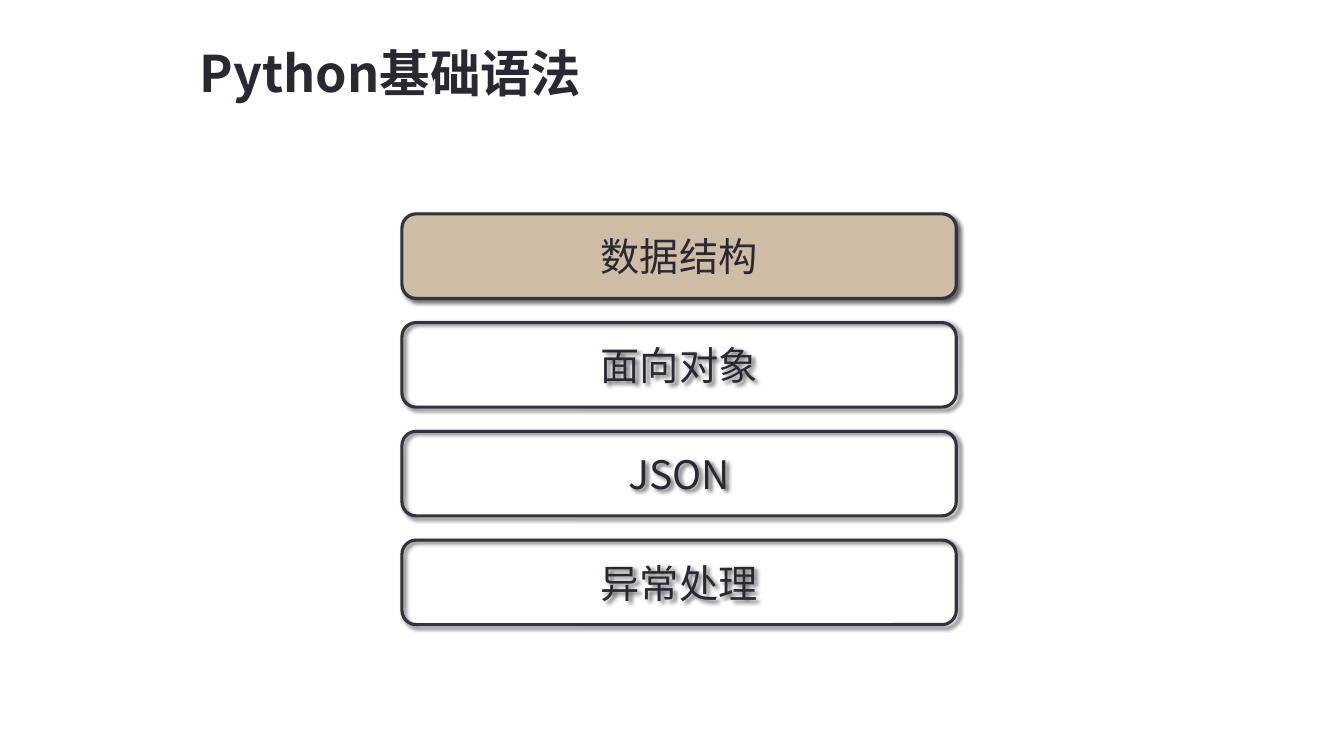
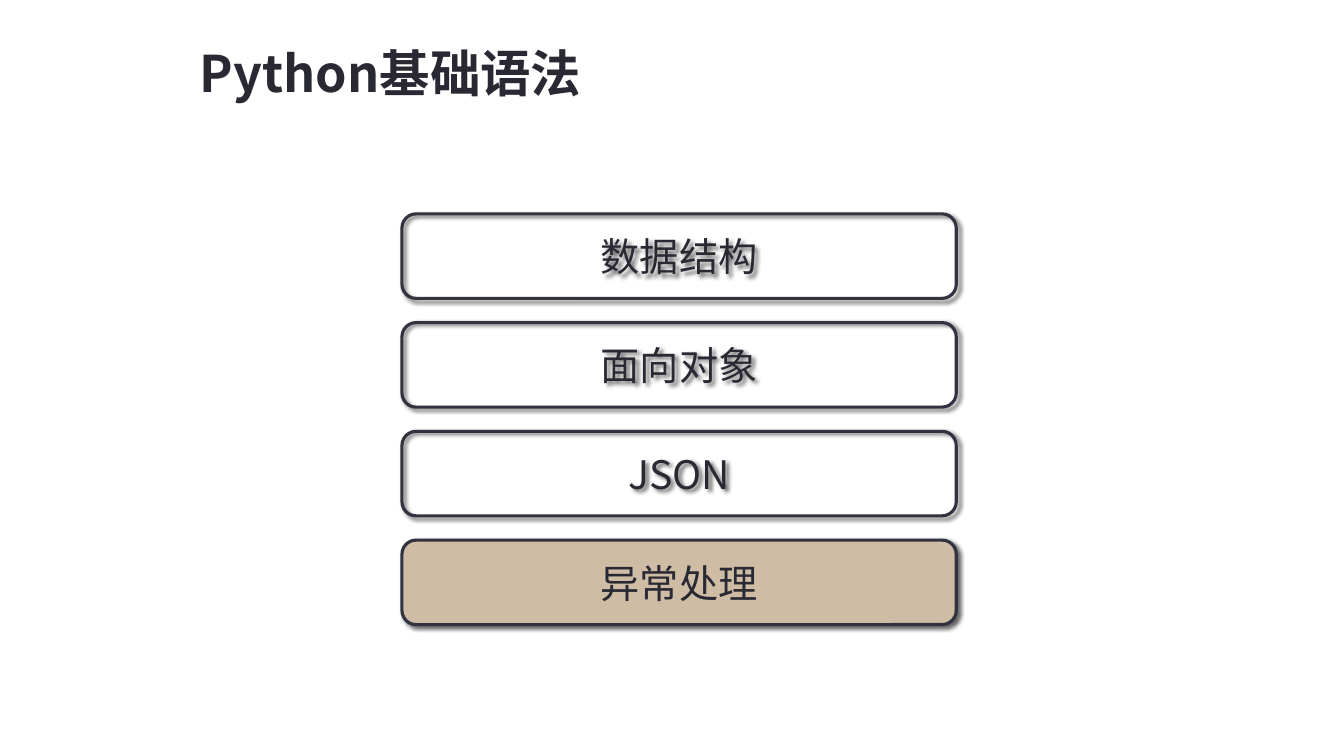
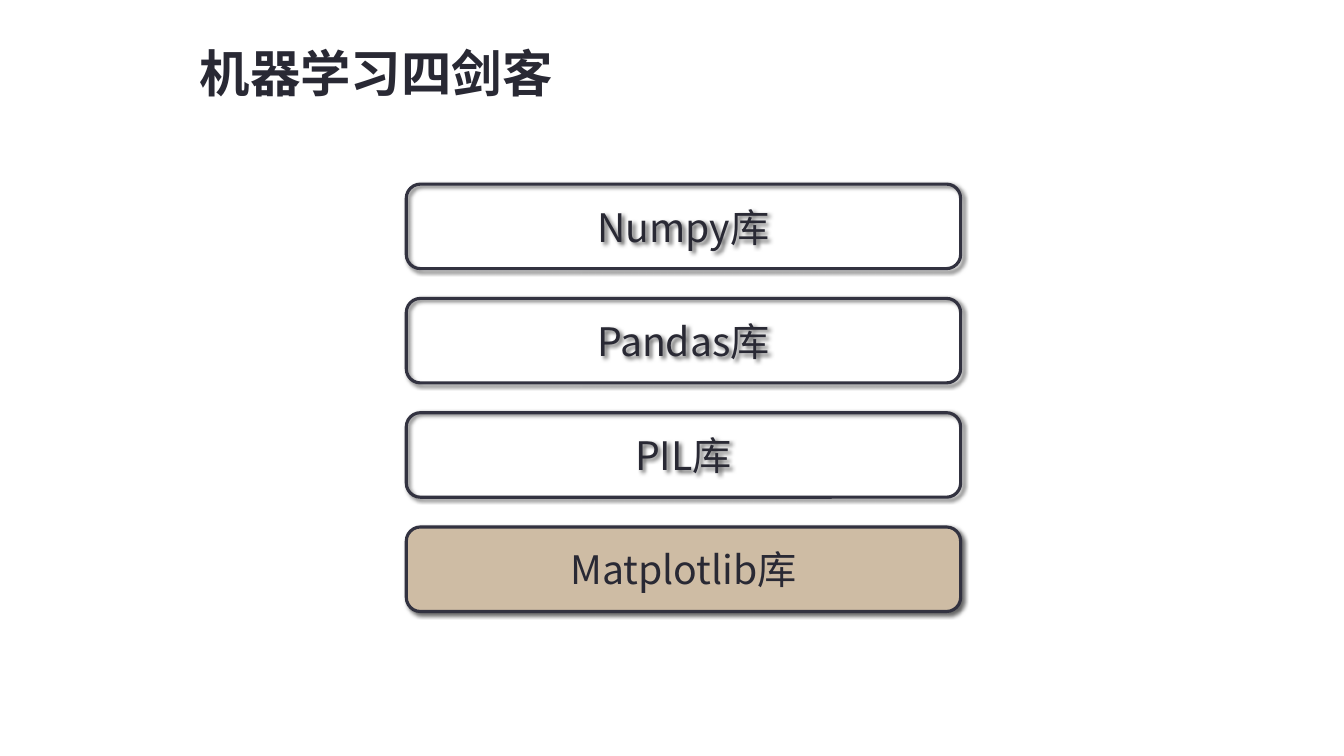
from dataclasses import dataclass

from lxml.etree import SubElement
from pptx import Presentation
from pptx.dml.color import RGBColor
from pptx.enum.shapes import MSO_SHAPE as Preset
from pptx.enum.text import MSO_ANCHOR as Anchor, MSO_AUTO_SIZE as AutoSize, PP_ALIGN as Align
from pptx.oxml.ns import qn
from pptx.util import Cm, Pt


@dataclass(frozen=True)
class Theme:
    font: str = "Noto Sans CJK SC"
    ink: str = "292934"
    outline: str = "323240"
    highlight: str = "CEBCA4"
    shadow: str = "000000"
    title_size: float = 36
    topic_size: float = 28
    outline_width: float = 2.25


THEME = Theme()
TITLE_ONLY = 5
TOPIC_WIDTH, TOPIC_HEIGHT = Cm(13.97), Cm(2.13)

SYNTAX_TITLE = "Python基础语法"
SYNTAX_TOPICS = ["数据结构", "面向对象", "JSON", "异常处理"]
SYNTAX_LAYOUT = dict(left=10.13, top=5.39, pitch=2.74)
LIBRARY_TITLE = "机器学习四剑客"
LIBRARY_TOPICS = ["Numpy库", "Pandas库", "PIL库", "Matplotlib库"]
LIBRARY_LAYOUT = dict(left=10.24, top=4.64, pitch=2.88)


def rgb(value):
    return RGBColor.from_string(value)


def write_text(frame, text, *, size, bold=False, align=Align.LEFT, anchor=Anchor.TOP):
    frame.word_wrap = True
    frame.vertical_anchor = anchor
    paragraph = frame.paragraphs[0]
    paragraph.alignment = align
    run = paragraph.add_run()
    run.text = text
    font = run.font
    font.size, font.bold = Pt(size), bold
    font.color.rgb = rgb(THEME.ink)
    font.name = THEME.font
    # East Asian characters take their typeface from a separate element.
    SubElement(run._r.get_or_add_rPr(), qn("a:ea"), typeface=THEME.font)


def cast_shadow(shape):
    """Replace the inherited shadow with a soft one to the lower right."""
    shape.shadow.inherit = False
    effects = shape._element.spPr.find(qn("a:effectLst"))
    outer = SubElement(effects, qn("a:outerShdw"), blurRad=str(Pt(3)), dist=str(Pt(2)),
                       dir=str(45 * 60000), algn="tl", rotWithShape="0")
    color = SubElement(outer, qn("a:srgbClr"), val=THEME.shadow)
    SubElement(color, qn("a:alpha"), val="60000")


def add_title(slide, text):
    title = slide.shapes.title
    title.left, title.top = Cm(4.78), Cm(0.94)
    title.width, title.height = Cm(10.46), Cm(1.8)
    title.text_frame.auto_size = AutoSize.SHAPE_TO_FIT_TEXT
    write_text(title.text_frame, text, size=THEME.title_size, bold=True)


def add_topic(slide, text, left, top, current):
    topic = slide.shapes.add_shape(Preset.ROUNDED_RECTANGLE, left, top,
                                   TOPIC_WIDTH, TOPIC_HEIGHT)
    if current:
        topic.fill.solid()
        topic.fill.fore_color.rgb = rgb(THEME.highlight)
    else:
        topic.fill.background()
    topic.line.color.rgb = rgb(THEME.outline)
    topic.line.width = Pt(THEME.outline_width)
    cast_shadow(topic)
    write_text(topic.text_frame, text, size=THEME.topic_size,
               align=Align.CENTER, anchor=Anchor.MIDDLE)


def add_agenda(deck, title, topics, current, *, left, top, pitch):
    """Add a slide listing the topics, with the current one filled."""
    slide = deck.slides.add_slide(deck.slide_layouts[TITLE_ONLY])
    add_title(slide, title)
    for row, topic in enumerate(topics):
        add_topic(slide, topic, Cm(left), Cm(top + row * pitch), topic == current)


def main():
    deck = Presentation()
    deck.slide_width, deck.slide_height = Cm(33.87), Cm(19.05)
    for current in ("数据结构", "异常处理"):
        add_agenda(deck, SYNTAX_TITLE, SYNTAX_TOPICS, current, **SYNTAX_LAYOUT)
    add_agenda(deck, LIBRARY_TITLE, LIBRARY_TOPICS, "Matplotlib库", **LIBRARY_LAYOUT)
    deck.save("out.pptx")


if __name__ == "__main__":
    main()
